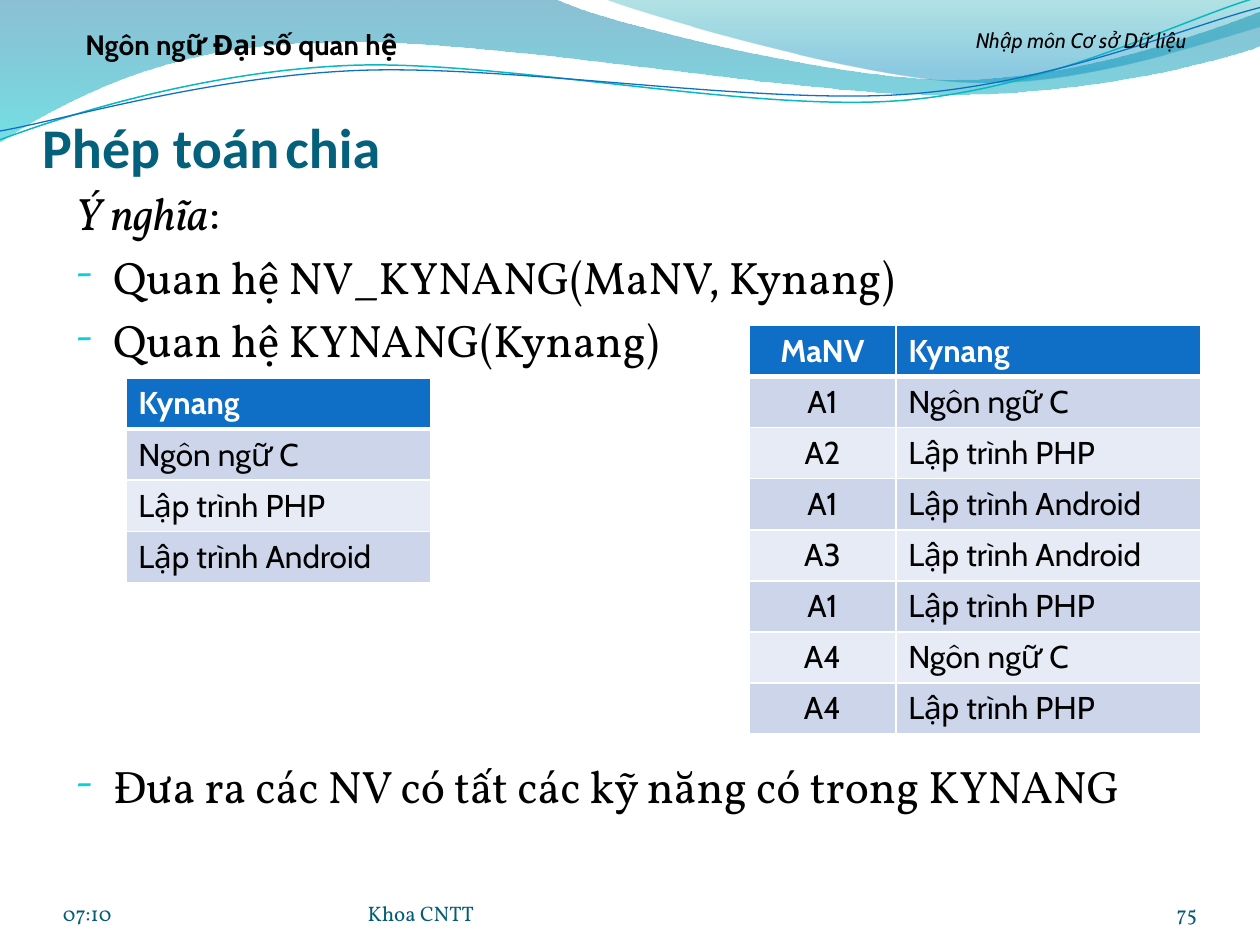
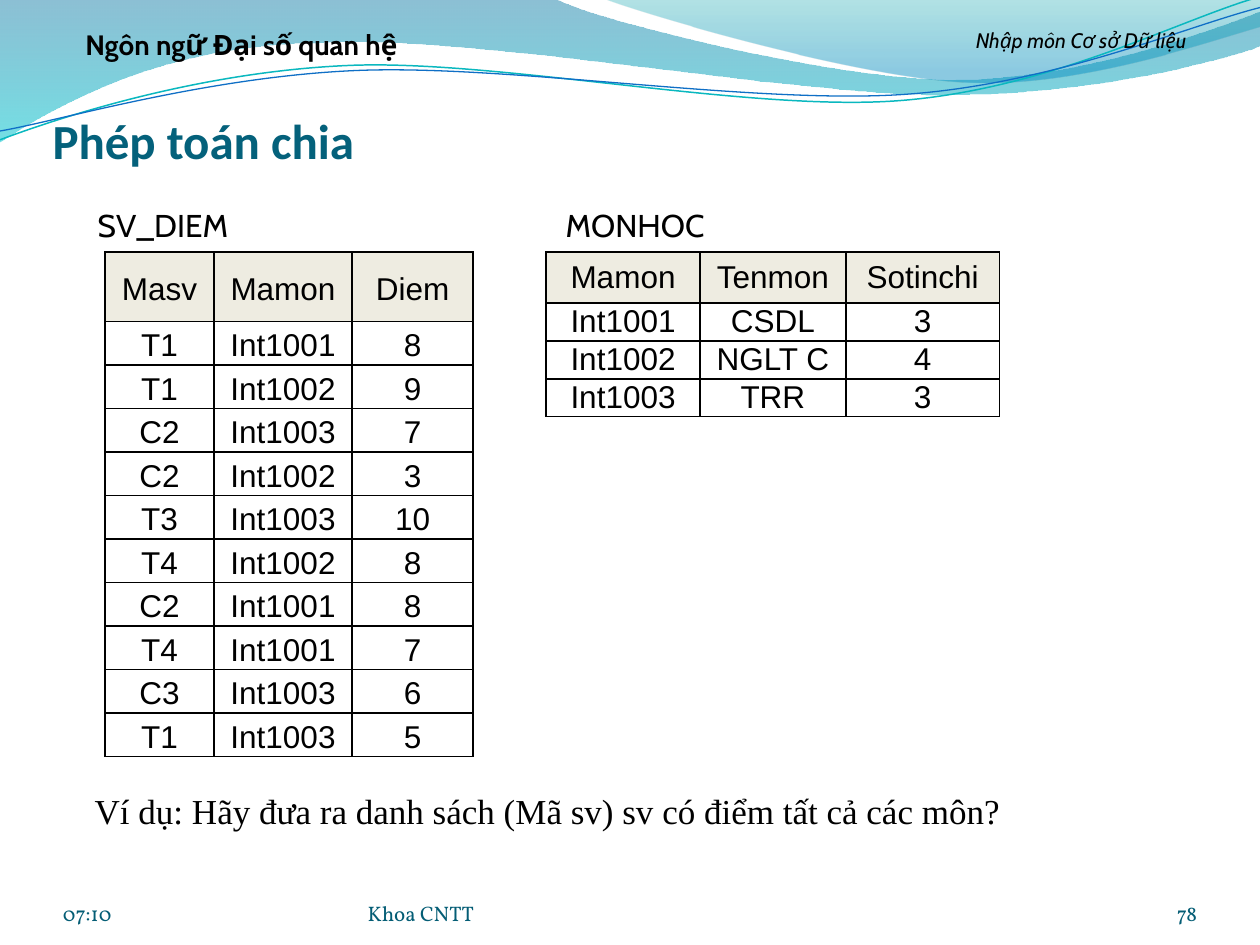
from dataclasses import dataclass
from typing import Optional

from lxml import etree
from pptx import Presentation
from pptx import util as u
from pptx.dml.color import RGBColor
from pptx.enum import text
from pptx.oxml import ns

BLACK, WHITE, BLUE = "000000", "FFFFFF", "0F6FC6"
TITLE_TEAL, FOOTER_TEAL, BULLET_CYAN = "04617B", "045D75", "0BD0D9"
STRIPES, HEADER_BEIGE = ("CCD5EA", "E7EBF5"), "EEECE1"
LEFT, CENTER, RIGHT = text.PP_ALIGN.LEFT, text.PP_ALIGN.CENTER, text.PP_ALIGN.RIGHT
TOP, MIDDLE, BOTTOM = text.MSO_ANCHOR.TOP, text.MSO_ANCHOR.MIDDLE, text.MSO_ANCHOR.BOTTOM
CURVE_UNIT = u.Cm(2.54)


@dataclass
class Wave:
    start: tuple
    curves: list
    stops: tuple = ()
    line: str = ""
    width: float = 0


@dataclass
class Label:
    words: str
    box: tuple
    style: dict
    align: text.PP_ALIGN = CENTER
    anchor: text.MSO_ANCHOR = TOP
    margins: Optional[tuple] = None


@dataclass
class Relation:
    left: float
    top: float
    widths: list
    heights: list
    rows: list
    aligns: list
    font: str
    header_fill: str
    border: str
    stripes: tuple = ()
    header_color: str = BLACK
    header_bold: bool = False
    header_rule: float = 1
    spacing: float = 1
    anchor: text.MSO_ANCHOR = TOP
    margins: tuple = (0.25, 0.13, 0.25, 0.13)


WAVES = [
    Wave((0, -0.01), [
        [(4.4, -0.01)],
        [(4.76, 0.17), (6.64, 0.63), (7.58, 0.63)],
        [(8.53, 0.63), (9.58, 0.26), (10, 0.09)],
        [(10.01, 0.36)],
        [(9.83, 0.44), (8.7, 0.76), (7.46, 0.75)],
        [(6.22, 0.75), (3.82, 0.28), (2.57, 0.34)],
        [(1.29, 0.35), (0.46, 0.83), (-0.01, 1.13)],
        [(0, -0.01)],
    ], stops=((0, "0074A1", 45), (1, "00C6CF", 55))),
    Wave((4.79, -0.01), [
        [(5.09, 0.11), (6.82, 0.62), (7.69, 0.65)],
        [(8.56, 0.69), (9.61, 0.32), (10, 0.21)],
        [(10, 0)],
        [(4.79, -0.01)],
    ], stops=((0, "00A1A9", 30), (0.8, "008BBF", 45))),
    Wave((0, 1.11), [
        [(0.48, 0.93), (1.58, 0.57), (2.77, 0.52)],
        [(3.95, 0.47), (5.93, 0.89), (7.13, 0.8)],
        [(8.33, 0.71), (9.38, 0.15), (9.98, -0.02)],
    ], line="0AB8BF", width=0.85),
    Wave((0, 1.04), [
        [(0.47, 0.96), (1.64, 0.61), (2.83, 0.56)],
        [(4.03, 0.51), (5.97, 0.83), (7.17, 0.75)],
        [(8.36, 0.67), (9.41, 0.21), (10, 0.06)],
    ], line=BLUE, width=0.75),
]


def rgb(hex_color: str) -> RGBColor:
    return RGBColor.from_string(hex_color)


def add_xml(parent, tag: str, **attributes):
    return etree.SubElement(parent, ns.qn(tag), {k: str(v) for k, v in attributes.items()})


def write(paragraph, words: str, *, font: str, size: float, color: str = BLACK,
          bold: bool = False, italic: bool = False) -> None:
    run = paragraph.add_run()
    run.text = words
    run.font.name, run.font.size = font, u.Pt(size)
    run.font.bold, run.font.italic = bold, italic
    run.font.color.rgb = rgb(color)


def set_margins(target, margins: tuple) -> None:
    (target.margin_left, target.margin_top,
     target.margin_right, target.margin_bottom) = map(u.Cm, margins)


def bend_segments(ribbon, curves: list) -> None:
    segments = iter(list(ribbon.element.iter(ns.qn("a:lnTo"))))
    for curve in curves:
        controls = [next(segments) for _ in curve]
        if len(controls) == 1:
            continue
        bend = etree.Element(ns.qn("a:cubicBezTo"))
        controls[0].addprevious(bend)
        for control in controls:
            bend.append(control[0])
            control.getparent().remove(control)


def draw_wave(slide, wave: Wave):
    points = [wave.start] + [point for curve in wave.curves for point in curve]
    first, *rest = [(round(x * CURVE_UNIT), round(y * CURVE_UNIT)) for x, y in points]
    builder = slide.shapes.build_freeform(*first)
    builder.add_line_segments(rest, close=bool(wave.stops))
    ribbon = builder.convert_to_shape()
    bend_segments(ribbon, wave.curves)
    ribbon.shadow.inherit = False
    if not wave.stops:
        ribbon.fill.background()
        ribbon.line.color.rgb = rgb(wave.line)
        ribbon.line.width = u.Pt(wave.width)
        return ribbon
    ribbon.line.fill.background()
    ribbon.fill.gradient()
    ribbon.fill.gradient_angle = 270
    for stop, (position, color, _) in zip(ribbon.fill.gradient_stops, wave.stops):
        stop.position, stop.color.rgb = position, rgb(color)
    for color, (_, _, opacity) in zip(ribbon.element.iter(ns.qn("a:srgbClr")), wave.stops):
        add_xml(color, "a:alpha", val=opacity * 1000)
    return ribbon


def move_waves_to_layout(slide) -> None:
    tree = slide.slide_layout.shapes.element
    for index, wave in enumerate(WAVES, start=2):
        tree.insert(index, draw_wave(slide, wave).element)


def draw_label(slide, label: Label) -> None:
    frame = slide.shapes.add_textbox(*map(u.Cm, label.box)).text_frame
    frame.word_wrap = True
    frame.vertical_anchor = label.anchor
    if label.margins:
        set_margins(frame, label.margins)
    frame.paragraphs[0].alignment = label.align
    write(frame.paragraphs[0], label.words, **label.style)


def set_title(slide, box: tuple, runs: list) -> None:
    title = slide.shapes.title
    title.left, title.top, title.width, title.height = map(u.Cm, box)
    frame = title.text_frame
    frame.auto_size = text.MSO_AUTO_SIZE.NONE
    frame.vertical_anchor = BOTTOM
    set_margins(frame, (0, 0.13, 0, 0))
    frame.paragraphs[0].alignment = LEFT
    for words, size in runs:
        write(frame.paragraphs[0], words, font="Calibri", size=size, color=TITLE_TEAL, bold=True)


def draw_frame(slide, number: int) -> None:
    footer = dict(font="Vollkorn", size=12, color=FOOTER_TEAL)
    flush = (0, 0, 0, 0)
    for label in (
        Label("07:10", (1.27, 17.65, 5.92, 1.02), footer, LEFT, BOTTOM, flush),
        Label(str(number), (22.01, 17.65, 2.12, 1.02), footer, RIGHT, BOTTOM, flush),
        Label("Khoa CNTT", (7.41, 17.65, 9.32, 1.02), footer, LEFT, BOTTOM, flush),
        Label("Nhập môn Cơ sở Dữ liệu", (18.2, 0.43, 7.19, 0.97),
              dict(font="Cabin", size=12, italic=True)),
        Label("Ngôn ngữ Đại số quan hệ", (0.64, 0.43, 8.46, 0.94),
              dict(font="Cabin", size=16, bold=True)),
    ):
        draw_label(slide, label)


def set_borders(cell, color: str, bottom: float, top: float) -> None:
    properties = cell._tc.get_or_add_tcPr()
    widths = {"a:lnL": 1, "a:lnR": 1, "a:lnT": top, "a:lnB": bottom}
    for index, (side, width) in enumerate(widths.items()):
        border = add_xml(properties, side, w=u.Pt(width))
        add_xml(add_xml(border, "a:solidFill"), "a:srgbClr", val=color)
        properties.insert(index, border)


def draw_relation(slide, relation: Relation) -> None:
    table = slide.shapes.add_table(
        len(relation.rows), len(relation.widths), u.Cm(relation.left), u.Cm(relation.top),
        u.Cm(sum(relation.widths)), u.Cm(sum(relation.heights))).table
    table.horz_banding = False
    for column, width in zip(table.columns, relation.widths):
        column.width = u.Cm(width)
    for r, (row, values) in enumerate(zip(table.rows, relation.rows)):
        row.height = u.Cm(relation.heights[r])
        header = r == 0
        for cell, words, align in zip(row.cells, values, relation.aligns):
            set_margins(cell, relation.margins)
            cell.vertical_anchor = relation.anchor
            if header or relation.stripes:
                fill = relation.header_fill if header else relation.stripes[(r - 1) % 2]
                cell.fill.solid()
                cell.fill.fore_color.rgb = rgb(fill)
            else:
                cell.fill.background()
            set_borders(cell, relation.border,
                        bottom=relation.header_rule if header else 1,
                        top=relation.header_rule if r == 1 else 1)
            paragraph = cell.text_frame.paragraphs[0]
            paragraph.alignment, paragraph.line_spacing = align, relation.spacing
            write(paragraph, words, font=relation.font, size=18,
                  color=relation.header_color if header else BLACK,
                  bold=header and relation.header_bold)


def draw_meaning(slide) -> None:
    frame = slide.shapes.add_textbox(*map(u.Cm, (1.27, 3.61, 22.86, 14.05))).text_frame
    frame.word_wrap = True
    style = dict(font="Vollkorn", size=26)
    heading = frame.paragraphs[0]
    write(heading, "Ý nghĩa", italic=True, **style)
    write(heading, ":", **style)
    for words, gap in (("Quan hệ NV_KYNANG(MaNV, Kynang)", 5),
                       ("Quan hệ KYNANG(Kynang)", 5.2),
                       ("Đưa ra các NV có tất các kỹ năng có trong KYNANG", 223.8)):
        item = frame.add_paragraph()
        properties = item._p.get_or_add_pPr()
        properties.set("marL", str(u.Cm(0.76)))
        properties.set("indent", str(u.Cm(-0.76)))
        add_xml(add_xml(properties, "a:buClr"), "a:srgbClr", val=BULLET_CYAN)
        add_xml(properties, "a:buSzPct", val=95000)
        add_xml(properties, "a:buFont", typeface="Vollkorn")
        add_xml(properties, "a:buChar", char="-")
        item.space_before = u.Pt(gap)
        write(item, words, **style)


def skill_relation(left: float, top: float, widths: list, rows: list, aligns: list) -> Relation:
    return Relation(left, top, widths, [1.03] * len(rows), rows, aligns, "Cabin", BLUE, WHITE,
                    stripes=STRIPES, header_color=WHITE, header_bold=True, header_rule=3)


def course_relation(left: float, widths: list, heights: list, rows: list,
                    spacing: float = 1) -> Relation:
    return Relation(left, 5.08, widths, heights, rows, [CENTER] * 3, "Arial", HEADER_BEIGE, BLACK,
                    spacing=spacing, anchor=MIDDLE, margins=(0.18, 0, 0.18, 0))


def build_skills(slide) -> None:
    draw_frame(slide, 75)
    set_title(slide, (0.85, 1.9, 23.7, 1.73), [("Phép toán", 32), (" ", 14), ("chia", 32)])
    draw_meaning(slide)
    c, php, android = "Ngôn ngữ C", "Lập trình PHP", "Lập trình Android"
    draw_relation(slide, skill_relation(
        2.54, 7.62, [6.14], [("Kynang",), (c,), (php,), (android,)], [LEFT]))
    draw_relation(slide, skill_relation(
        15.1, 6.56, [2.96, 6.14],
        [("MaNV", "Kynang"), ("A1", c), ("A2", php), ("A1", android), ("A3", android),
         ("A1", php), ("A4", c), ("A4", php)], [CENTER, LEFT]))


def build_scores(slide) -> None:
    draw_frame(slide, 78)
    set_title(slide, (1.06, 1.69, 22.86, 1.73), [("Phép toán chia", 28)])
    scores = [("T1", 1, 8), ("T1", 2, 9), ("C2", 3, 7), ("C2", 2, 3), ("T3", 3, 10),
              ("T4", 2, 8), ("C2", 1, 8), ("T4", 1, 7), ("C3", 3, 6), ("T1", 3, 5)]
    score_height = (10.17 - 1.4) / len(scores)
    draw_relation(slide, course_relation(
        2.12, [2.19, 2.79, 2.44], [1.4] + [score_height] * len(scores),
        [("Masv", "Mamon", "Diem")]
        + [(student, f"Int100{course}", str(score)) for student, course, score in scores],
        spacing=1.15))
    draw_relation(slide, course_relation(
        11.01, [3.1, 2.94, 3.1], [1.03] + [0.76] * 3,
        [("Mamon", "Tenmon", "Sotinchi"), ("Int1001", "CSDL", "3"),
         ("Int1002", "NGLT C", "4"), ("Int1003", "TRR", "3")]))
    for name, left in (("SV_DIEM", 1.48), ("MONHOC", 11)):
        draw_label(slide, Label(name, (left, 4.02, 3.61, 1.02), dict(font="Cabin", size=18)))
    draw_label(slide, Label("Ví dụ: Hãy đưa ra danh sách (Mã sv) sv có điểm tất cả các môn?",
                            (1.91, 15.03, 22.86, 1.73), dict(font="Times New Roman", size=20),
                            LEFT, BOTTOM, (0, 0.13, 0, 0)))


def main() -> None:
    deck = Presentation()
    deck.slide_width, deck.slide_height = u.Cm(25.4), u.Cm(19.05)
    title_only = deck.slide_layouts[5]
    skills, scores = (deck.slides.add_slide(title_only) for _ in range(2))
    move_waves_to_layout(skills)
    build_skills(skills)
    build_scores(scores)
    deck.save("out.pptx")


if __name__ == "__main__":
    main()
